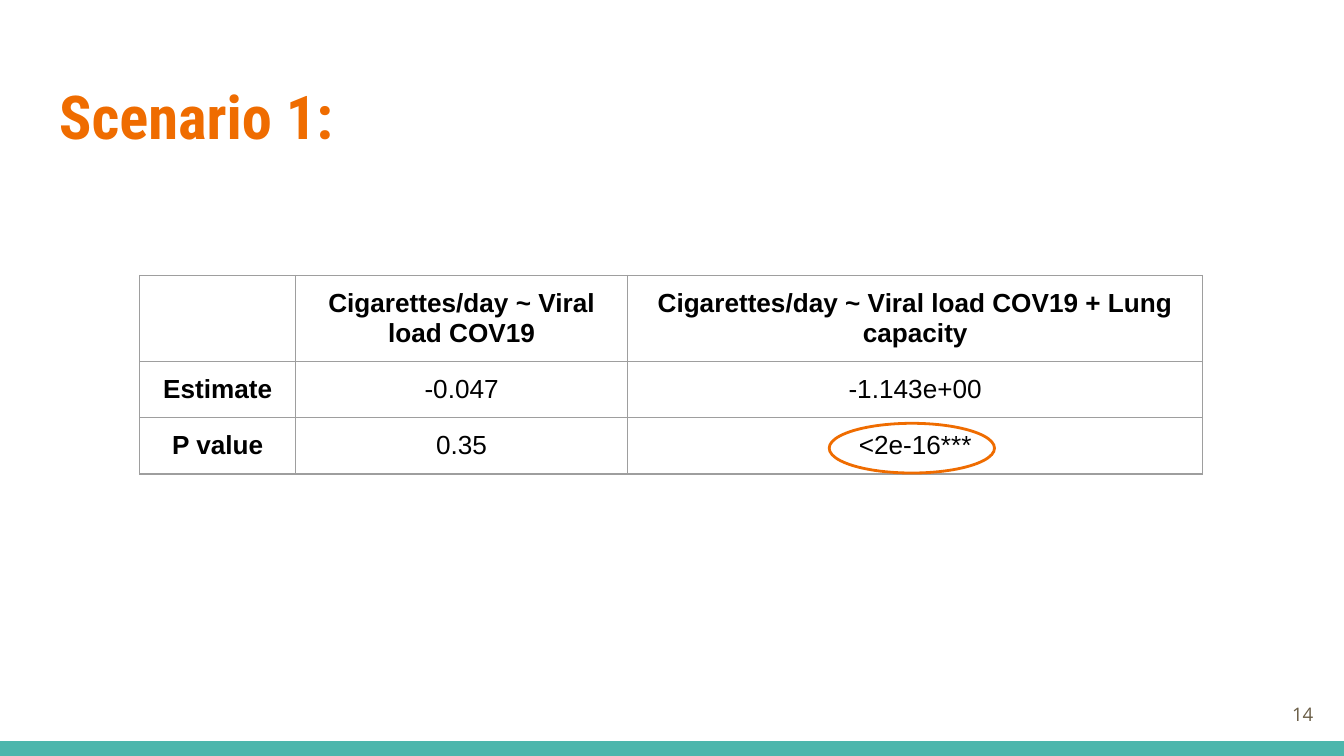
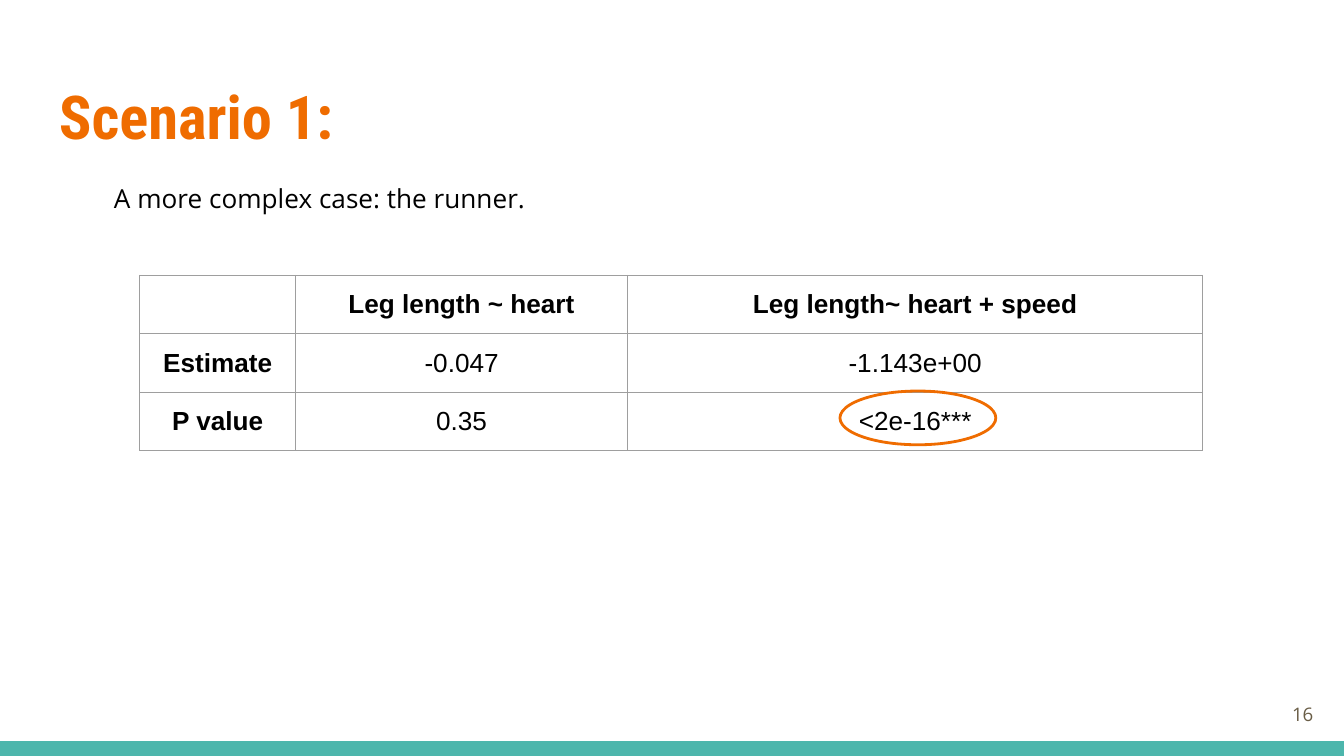
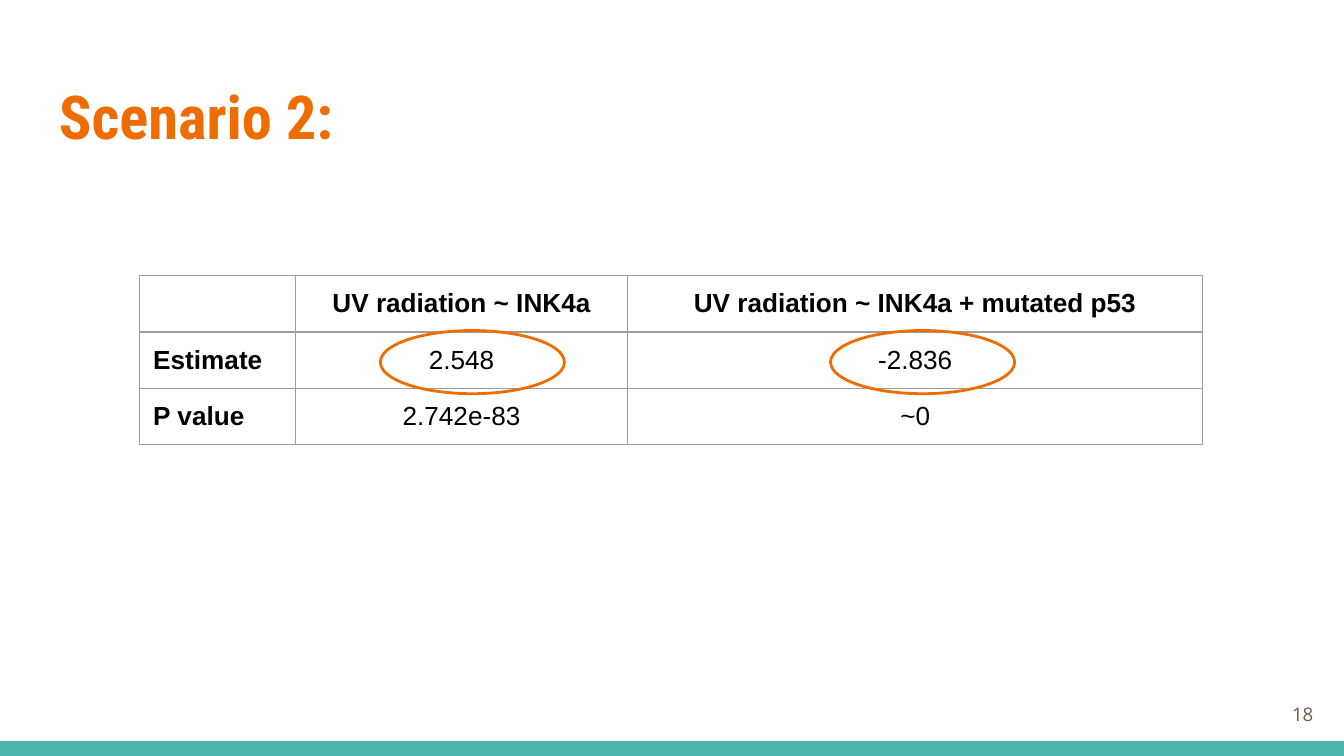
from dataclasses import dataclass

from lxml.etree import SubElement
from pptx import Presentation
from pptx.dml.color import RGBColor
from pptx.enum.shapes import MSO_SHAPE
from pptx.enum.text import MSO_ANCHOR, PP_ALIGN
from pptx.oxml.ns import qn
from pptx.util import Inches, Pt

SLIDES = [
    {
        "title": "Scenario 1:",
        "number": "14",
        "rows": [
            ("", "Cigarettes/day ~ Viral load COV19",
             "Cigarettes/day ~ Viral load COV19 + Lung capacity"),
            ("Estimate", "-0.047", "-1.143e+00"),
            ("P value", "0.35", "<2e-16***"),
        ],
        "heights": (0.63, 0.42, 0.42),
        "anchor": MSO_ANCHOR.TOP,
        "bottom_inset": 0.07,
        "label_align": PP_ALIGN.CENTER,
        "rings": [(6.17, 3.15, 1.23, 0.37)],
    },
    {
        "title": "Scenario 1:",
        "subtitle": "A more complex case: the runner.",
        "number": "16",
        "rows": [
            ("", "Leg length ~ heart", "Leg length~ heart + speed"),
            ("Estimate", "-0.047", "-1.143e+00"),
            ("P value", "0.35", "<2e-16***"),
        ],
        "heights": (0.43, 0.43, 0.43),
        "anchor": MSO_ANCHOR.MIDDLE,
        "bottom_inset": 0.1,
        "label_align": PP_ALIGN.CENTER,
        "rings": [(6.25, 2.91, 1.16, 0.4)],
    },
    {
        "title": "Scenario 2:",
        "number": "18",
        "rows": [
            ("", "UV radiation ~ INK4a", "UV radiation ~ INK4a + mutated p53"),
            ("Estimate", "2.548", "-2.836"),
            ("P value", "2.742e-83", "~0"),
        ],
        "heights": (0.42, 0.42, 0.42),
        "anchor": MSO_ANCHOR.TOP,
        "bottom_inset": 0.07,
        "label_align": PP_ALIGN.LEFT,
        "rings": [(2.83, 2.46, 1.37, 0.47), (6.18, 2.46, 1.37, 0.47)],
    },
]


@dataclass(frozen=True)
class Theme:
    accent: str = "EF6C00"
    band: str = "4DB6AC"
    text: str = "000000"
    muted: str = "695D46"
    grid: str = "9E9E9E"
    title_font: str = "Roboto Condensed"
    body_font: str = "Open Sans"
    table_font: str = "Arial"
    title_size: float = 32.4
    body_size: int = 14
    number_size: int = 10
    grid_width: float = 0.75
    ring_width: float = 1.5
    inset: float = 0.1


THEME = Theme()
WIDTH = 10
HEIGHT = WIDTH * 9 / 16
BAND_HEIGHT = 0.11
TABLE_LEFT, TABLE_TOP = 1.04, 2.05
COLUMN_WIDTHS = (1.16, 2.47, 4.28)


def inches(*values):
    return [Inches(v) for v in values]


def style(p, font, size, color, bold=False, align=PP_ALIGN.LEFT):
    p.alignment = align
    p.font.name = font
    p.font.size = Pt(size)
    p.font.bold = bold
    p.font.color.rgb = RGBColor.from_string(color)


def set_insets(frame, bottom=THEME.inset):
    frame.margin_left = frame.margin_right = Inches(THEME.inset)
    frame.margin_top = Inches(THEME.inset)
    frame.margin_bottom = Inches(bottom)


def add_text(s, box, text, *look, anchor=MSO_ANCHOR.TOP, **options):
    tf = s.shapes.add_textbox(*inches(*box)).text_frame
    tf.word_wrap = True
    tf.vertical_anchor = anchor
    set_insets(tf)
    p = tf.paragraphs[0]
    p.text = text
    style(p, *look, **options)


def add_band(s):
    sp = s.shapes.add_shape(
        MSO_SHAPE.RECTANGLE, *inches(0, HEIGHT - BAND_HEIGHT, WIDTH, BAND_HEIGHT))
    sp.shadow.inherit = False
    sp.fill.solid()
    sp.fill.fore_color.rgb = RGBColor.from_string(THEME.band)
    sp.line.fill.background()


def add_ring(s, box):
    sp = s.shapes.add_shape(MSO_SHAPE.OVAL, *inches(*box))
    sp.shadow.inherit = False
    sp.fill.background()
    sp.line.color.rgb = RGBColor.from_string(THEME.accent)
    sp.line.width = Pt(THEME.ring_width)


def set_borders(cell):
    tcPr = cell._tc.get_or_add_tcPr()
    for i, side in enumerate(("lnL", "lnR", "lnT", "lnB")):
        ln = tcPr.makeelement(qn(f"a:{side}"), {"w": str(Pt(THEME.grid_width))})
        fill = SubElement(ln, qn("a:solidFill"))
        SubElement(fill, qn("a:srgbClr"), val=THEME.grid)
        tcPr.insert(i, ln)


def add_results(s, content):
    rows, heights = content["rows"], content["heights"]
    table = s.shapes.add_table(
        len(rows), len(COLUMN_WIDTHS),
        *inches(TABLE_LEFT, TABLE_TOP, sum(COLUMN_WIDTHS), sum(heights))).table
    table.horz_banding = table.first_row = False
    for column, width in zip(table.columns, COLUMN_WIDTHS):
        column.width = Inches(width)
    for i, (row, height) in enumerate(zip(rows, heights)):
        table.rows[i].height = Inches(height)
        for j, text in enumerate(row):
            cell = table.cell(i, j)
            cell.fill.background()
            set_borders(cell)
            set_insets(cell, content["bottom_inset"])
            cell.vertical_anchor = content["anchor"]
            p = cell.text_frame.paragraphs[0]
            if text:
                p.text = text
            style(p, THEME.table_font, THEME.body_size, THEME.text,
                  bold=i == 0 or j == 0,
                  align=content["label_align"] if j == 0 else PP_ALIGN.CENTER)
            if not text:
                SubElement(p._p, qn("a:endParaRPr"), sz=str(THEME.body_size * 100))


def build_slide(prs, content):
    s = prs.slides.add_slide(prs.slide_layouts[6])
    add_band(s)
    add_text(s, (0.34, 0.49, 9.32, 0.77), content["title"],
             THEME.title_font, THEME.title_size, THEME.accent, bold=True)
    if "subtitle" in content:
        add_text(s, (0.75, 1.26, 6, 0.44), content["subtitle"],
                 THEME.body_font, THEME.body_size, THEME.text)
    add_results(s, content)
    for box in content["rings"]:
        add_ring(s, box)
    add_text(s, (9.27, 5.1, 0.6, 0.43), content["number"],
             THEME.body_font, THEME.number_size, THEME.muted,
             anchor=MSO_ANCHOR.MIDDLE, align=PP_ALIGN.RIGHT)


def main():
    prs = Presentation()
    prs.slide_width, prs.slide_height = inches(WIDTH, HEIGHT)
    for content in SLIDES:
        build_slide(prs, content)
    prs.save("out.pptx")


if __name__ == "__main__":
    main()
